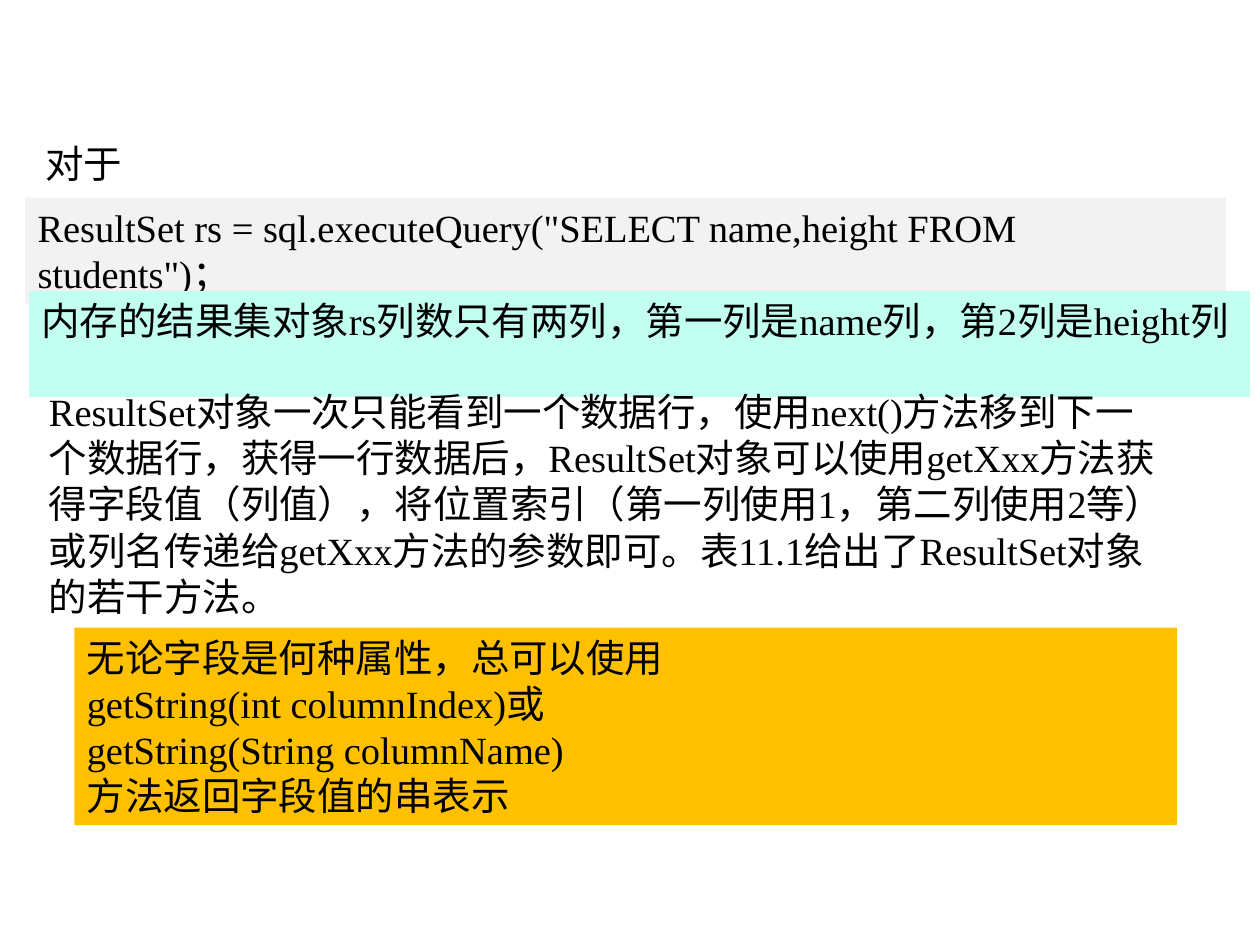
import pptx
import pptx.util
import pptx.dml.color
import pptx.enum.shapes
import pptx.enum.text

Pt = pptx.util.Pt
FONT = "Times New Roman"
SIZE = 22
COLORS = {"text": "000000", "code": "F2F2F2", "result": "C2FFF0", "note": "FFC000"}

BLOCKS = [
    (None, (18.7, 76.3, 58.3, 33.8), ["对于"]),
    ("code", (14.4, 113, 686.2, 60.5),
     ['ResultSet rs = sql.executeQuery("SELECT name,height FROM students")；']),
    ("result", (16.6, 166.3, 697.7, 60.5),
     ["内存的结果集对象rs列数只有两列，第一列是name列，第2列是height列"]),
    (None, (20.9, 218.2, 652.3, 139.7),
     ["ResultSet对象一次只能看到一个数据行，使用next()方法移到下一个数据行，"
      "获得一行数据后，ResultSet对象可以使用getXxx方法获得字段值（列值），"
      "将位置索引（第一列使用1，第二列使用2等）或列名传递给getXxx方法的参数即可。"
      "表11.1给出了ResultSet对象的若干方法。"]),
    ("note", (42.5, 358.6, 630, 113),
     ["无论字段是何种属性，总可以使用",
      "getString(int columnIndex)或",
      "getString(String columnName)",
      "方法返回字段值的串表示"]),
]


def rgb(name):
    return pptx.dml.color.RGBColor.from_string(COLORS[name])


def add_block(slide, fill, box, lines):
    box = [Pt(v) for v in box]
    if fill:
        sp = slide.shapes.add_shape(pptx.enum.shapes.MSO_SHAPE.RECTANGLE, *box)
        sp.shadow.inherit = False
        sp.fill.solid()
        sp.fill.fore_color.rgb = rgb(fill)
        sp.line.fill.background()
    else:
        sp = slide.shapes.add_textbox(*box)
    tf = sp.text_frame
    tf.text = "\n".join(lines)
    tf.word_wrap = box[2] > Pt(100)
    tf.vertical_anchor = pptx.enum.text.MSO_ANCHOR.TOP
    for p in tf.paragraphs:
        p.alignment = pptx.enum.text.PP_ALIGN.LEFT
        for r in p.runs:
            r.font.name = FONT
            r.font.size = Pt(SIZE)
            r.font.color.rgb = rgb("text")


def main():
    prs = pptx.Presentation()
    prs.slide_width, prs.slide_height = Pt(720), Pt(540)
    slide = prs.slides.add_slide(prs.slide_layouts[6])
    for fill, box, lines in BLOCKS:
        add_block(slide, fill, box, lines)
    prs.save("out.pptx")


if __name__ == "__main__":
    main()
